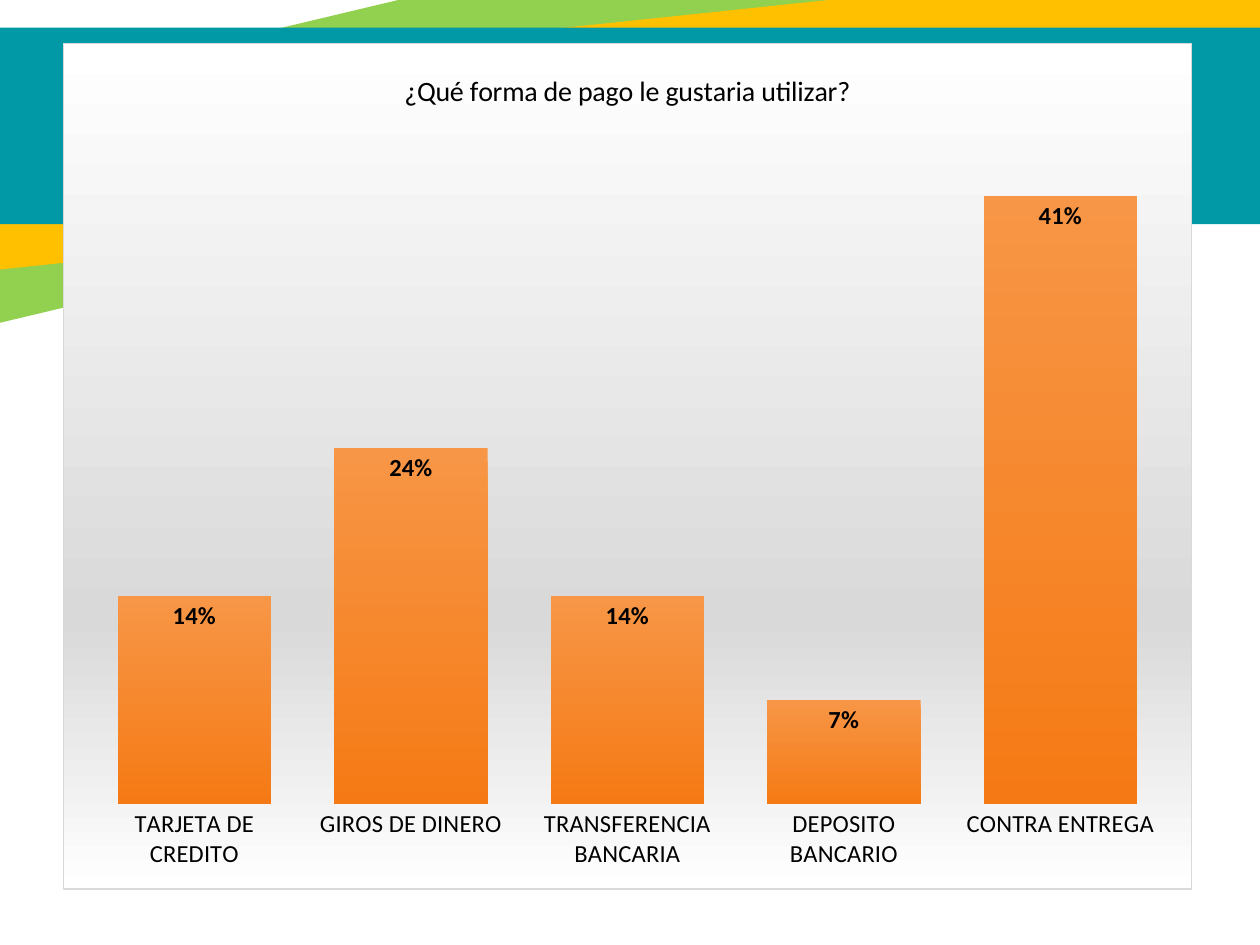
import lxml.etree
import pptx
import pptx.chart.data
import pptx.dml.color
import pptx.enum.chart
import pptx.enum.shapes
import pptx.oxml
import pptx.oxml.ns
import pptx.util

Pt = pptx.util.Pt
FONT = "Calibri"
BANDS = [
    (-180.72, -12.96, 940.32, 126.72, 346.6, "92D050"),
    (-79.2, 14.4, 837.36, 103.68, 354, "FFC000"),
    (-76.32, 15.84, 837.36, 112.32, 0, "0099A5"),
]
ANSWERS = {
    "TARJETA DE CREDITO": 0.14,
    "GIROS DE DINERO": 0.24,
    "TRANSFERENCIA BANCARIA": 0.14,
    "DEPOSITO BANCARIO": 0.07,
    "CONTRA ENTREGA": 0.41,
}


def color(value):
    return pptx.dml.color.RGBColor.from_string(value)


def style_font(font, size, bold=False):
    font.name = FONT
    font.size = Pt(size)
    font.bold = bold
    font.color.rgb = color("000000")


def add_bands(slide, left, top):
    for x, y, width, height, rotation, fill in BANDS:
        band = slide.shapes.add_shape(
            pptx.enum.shapes.MSO_SHAPE.RECTANGLE,
            Pt(left + x), Pt(top + y), Pt(width), Pt(height))
        band.rotation = rotation
        band.shadow.inherit = False
        band.fill.solid()
        band.fill.fore_color.rgb = color(fill)
        band.line.fill.background()


def style_chart_area(chart, stops, border, border_width):
    stop_xml = "".join(
        f'<a:gs pos="{position * 1000}"><a:srgbClr val="{value}"/></a:gs>'
        for position, value in stops)
    properties = pptx.oxml.parse_xml(
        f'<c:spPr {pptx.oxml.ns.nsdecls("c", "a")}>'
        f'<a:gradFill><a:gsLst>{stop_xml}</a:gsLst>'
        '<a:lin ang="5400000" scaled="0"/></a:gradFill>'
        f'<a:ln w="{Pt(border_width)}"><a:solidFill><a:srgbClr val="{border}"/>'
        '</a:solidFill></a:ln></c:spPr>')
    chart.element.find(pptx.oxml.ns.qn("c:chart")).addnext(properties)


def place_plot(chart, **fractions):
    plot_area = chart.element.find(".//" + pptx.oxml.ns.qn("c:plotArea"))
    for old_layout in plot_area.findall(pptx.oxml.ns.qn("c:layout")):
        plot_area.remove(old_layout)
    values = "".join(f'<c:{name} val="{value}"/>' for name, value in fractions.items())
    plot_area.insert(0, pptx.oxml.parse_xml(
        f'<c:layout {pptx.oxml.ns.nsdecls("c")}><c:manualLayout>'
        '<c:layoutTarget val="inner"/><c:xMode val="edge"/><c:yMode val="edge"/>'
        f'{values}</c:manualLayout></c:layout>'))


def style_axes(chart):
    category_axis = chart.category_axis
    category_axis.major_tick_mark = pptx.enum.chart.XL_TICK_MARK.NONE
    category_axis.format.line.fill.background()
    style_font(category_axis.tick_labels.font, 14)
    value_axis = chart.value_axis
    value_axis.minimum_scale = 0
    value_axis.maximum_scale = 0.45
    value_axis.has_major_gridlines = False
    value_axis.visible = False


def style_columns(plot):
    plot.gap_width = 41
    plot.vary_by_categories = False
    series = plot.series[0]
    fill = series.format.fill
    fill.gradient()
    fill.gradient_angle = 270
    for stop, position, value in zip(fill.gradient_stops, (0, 1), ("F79646", "F57A15")):
        stop.position = position
        stop.color.rgb = color(value)
    labels = series.data_labels
    labels.show_value = True
    labels.number_format = "0%"
    labels.number_format_is_linked = False
    labels.position = pptx.enum.chart.XL_LABEL_POSITION.INSIDE_END
    style_font(labels.font, 14, bold=True)


def add_payment_chart(slide, left, top, width, height):
    data = pptx.chart.data.CategoryChartData(number_format="0%")
    data.categories = list(ANSWERS)
    data.add_series("Series 1", list(ANSWERS.values()))
    chart = slide.shapes.add_chart(
        pptx.enum.chart.XL_CHART_TYPE.COLUMN_CLUSTERED,
        Pt(left), Pt(top), Pt(width), Pt(height), data).chart
    style_font(chart.font, 14)
    chart.has_legend = False
    chart.has_title = True
    run = chart.chart_title.text_frame.paragraphs[0].add_run()
    run.text = "¿Qué forma de pago le gustaria utilizar?"
    style_font(run.font, 16)
    chart.chart_title.include_in_layout = False
    style_axes(chart)
    style_columns(chart.plots[0])
    place_plot(chart, x=0.02, y=0.11, w=0.96, h=0.79)
    style_chart_area(chart, [(0, "FFFFFF"), (68, "D9D9D9"), (100, "FFFFFF")], "D9D9D9", 0.75)


def main():
    presentation = pptx.Presentation()
    presentation.slide_width = Pt(720)
    presentation.slide_height = Pt(540)
    slide = presentation.slides.add_slide(presentation.slide_layouts[6])
    add_bands(slide, 0, 0)
    add_payment_chart(slide, 36, 24.48, 645.12, 483.84)
    presentation.save("out.pptx")


if __name__ == "__main__":
    main()
